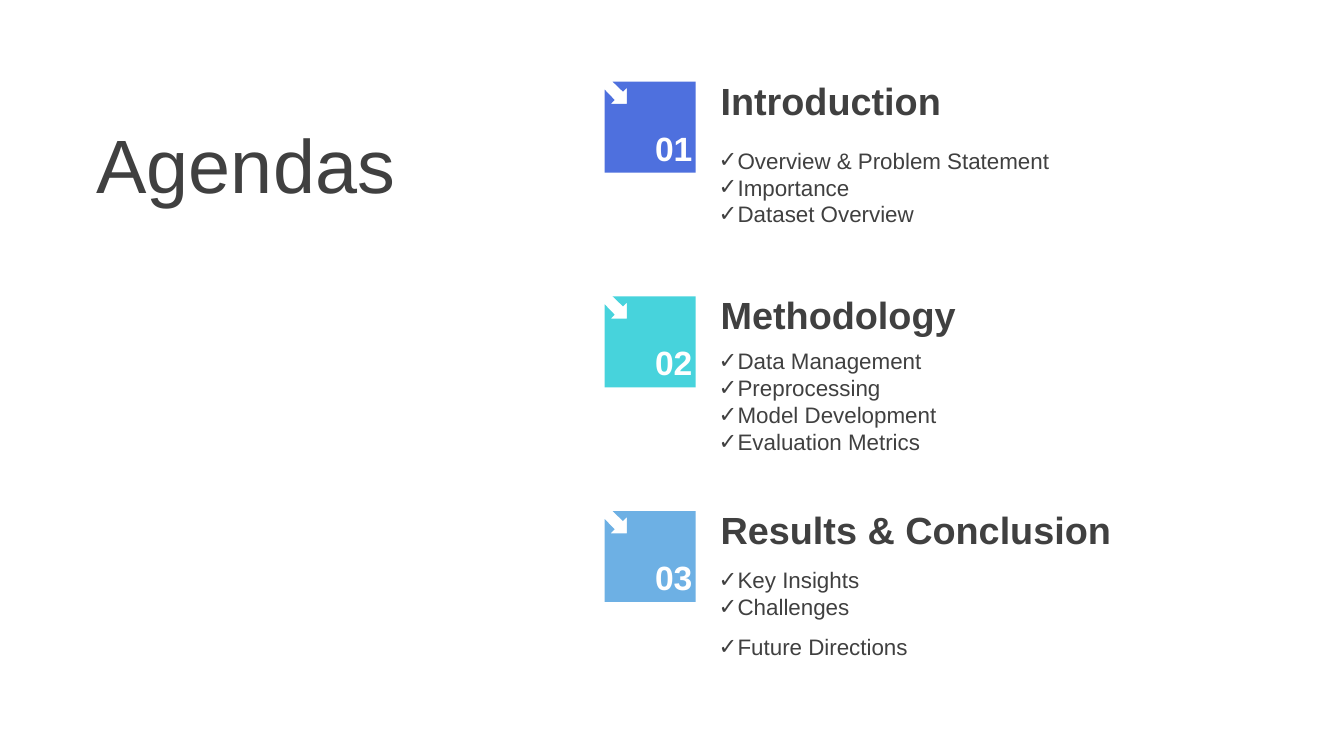
from lxml.etree import SubElement
from pptx import Presentation
from pptx.dml.color import RGBColor
from pptx.enum.text import MSO_ANCHOR as Anchor, MSO_AUTO_SIZE as AutoSize, PP_ALIGN as Align
from pptx.oxml.ns import qn
from pptx.util import Cm, Pt

COLORS = {
    "text": "404040",
    "number": "FFFFFF",
    "blue": "4E70DE",
    "teal": "47D3DC",
    "sky": "6DB0E4",
}
FONT = "Arial"

# Square with an arrow cut into its top-left corner, in hundredths of a cm
BADGE_OUTLINE = [(20, 0), (229, 0), (229, 229), (0, 229), (0, 20), (25, 46),
                 (15, 56), (56, 56), (56, 15), (46, 25)]

# Heading, badge colour, list top below the badge top, list height,
# and list items with their line spacing
SECTIONS = [
    ("Introduction", "blue", 1.5, 2.31,
     [("Overview & Problem Statement", 1), ("Importance", 1), ("Dataset Overview", 1)]),
    ("Methodology", "teal", 1.14, 3,
     [("Data Management", 1), ("Preprocessing", 1), ("Model Development", 1),
      ("Evaluation Metrics", 1)]),
    ("Results & Conclusion", "sky", 1.32, 2.51,
     [("Key Insights", 1), ("Challenges", 1), ("Future Directions", 1.5)]),
]
SECTION_LEFT, SECTION_TOP, SECTION_PITCH = 15.24, 2.06, 5.41


def style(paragraph, size, color, bold=False):
    font = paragraph.font
    font.name, font.size, font.bold = FONT, Pt(size), bold
    font.color.rgb = RGBColor.from_string(COLORS[color])


def add_text_frame(slide, left, top, width, height, anchor, inset_x=0.25, inset_y=0.13):
    frame = slide.shapes.add_textbox(Cm(left), Cm(top), Cm(width), Cm(height)).text_frame
    frame.word_wrap = True
    frame.vertical_anchor = anchor
    frame.margin_left = frame.margin_right = Cm(inset_x)
    frame.margin_top = frame.margin_bottom = Cm(inset_y)
    return frame


def add_check_mark(paragraph):
    properties = paragraph._p.get_or_add_pPr()
    properties.set("marL", str(Cm(0.48)))
    properties.set("indent", str(Cm(-0.48)))
    SubElement(properties, qn("a:buFont"), typeface=FONT)
    SubElement(properties, qn("a:buChar"), char="✓")


def add_title(slide, left, top, width, height):
    title = slide.shapes.title
    title.left, title.top, title.width, title.height = Cm(left), Cm(top), Cm(width), Cm(height)
    frame = title.text_frame
    frame.text = "Agendas"
    frame.auto_size = AutoSize.NONE
    frame.vertical_anchor = Anchor.MIDDLE
    frame.paragraphs[0].alignment = Align.LEFT
    style(frame.paragraphs[0], 54, "text")


def add_badge(slide, left, top, number, color):
    outline = slide.shapes.build_freeform(*BADGE_OUTLINE[0], scale=Cm(0.01))
    outline.add_line_segments(BADGE_OUTLINE[1:], close=True)
    badge = outline.convert_to_shape(Cm(left), Cm(top))
    badge.shadow.inherit = False
    badge.fill.solid()
    badge.fill.fore_color.rgb = RGBColor.from_string(COLORS[color])
    badge.line.fill.background()

    label = add_text_frame(slide, left + 0.66, top + 1.14, 1.55, 1.04, Anchor.MIDDLE, 0, 0)
    label.text = f"{number:02}"
    label.paragraphs[0].alignment = Align.RIGHT
    style(label.paragraphs[0], 24, "number", bold=True)


def add_items(slide, left, top, width, height, items):
    frame = add_text_frame(slide, left, top, width, height, Anchor.MIDDLE)
    for index, (item, spacing) in enumerate(items):
        paragraph = frame.add_paragraph() if index else frame.paragraphs[0]
        paragraph.text = item
        add_check_mark(paragraph)
        paragraph.line_spacing = float(spacing)
        style(paragraph, 16, "text")


def add_section(slide, left, top, number, section):
    heading, color, list_top, list_height, items = section
    add_badge(slide, left, top, number, color)
    text_left = left + 2.62
    add_items(slide, text_left, top + list_top, 13.84, list_height, items)
    frame = add_text_frame(slide, text_left, top - 0.24, 12.52, 1.42, Anchor.TOP, 0.3)
    frame.text = heading
    style(frame.paragraphs[0], 27, "text", bold=True)


def main():
    deck = Presentation()
    deck.slide_width, deck.slide_height = Cm(33.87), Cm(19.05)
    slide = deck.slides.add_slide(deck.slide_layouts[5])
    add_title(slide, 2.18, 2.84, 10.13, 2.57)
    for index, section in enumerate(SECTIONS):
        add_section(slide, SECTION_LEFT, SECTION_TOP + index * SECTION_PITCH, index + 1, section)
    deck.save("out.pptx")


if __name__ == "__main__":
    main()
